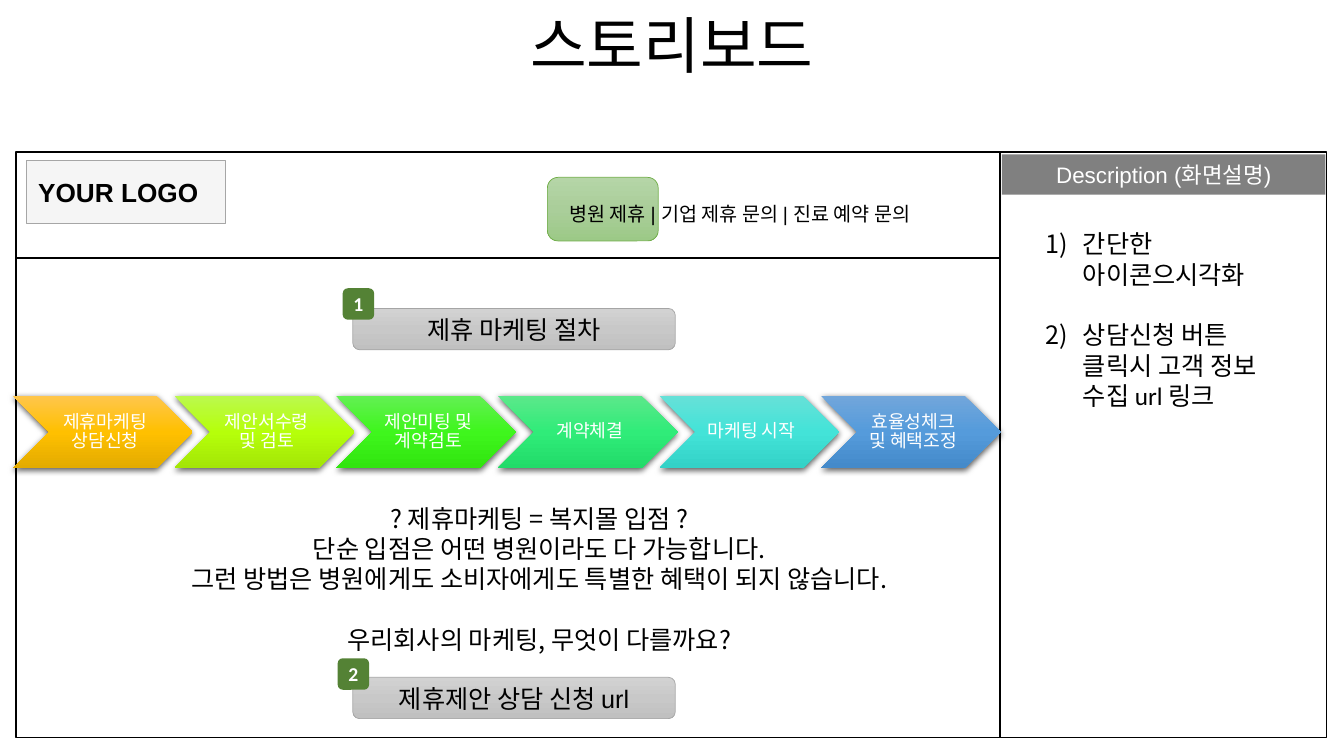
"""Build the storyboard slide for the partnership marketing page."""
from copy import deepcopy

from lxml.etree import SubElement
from pptx import Presentation
from pptx.dml.color import RGBColor
from pptx.enum.shapes import MSO_SHAPE as SHAPE
from pptx.enum.text import MSO_ANCHOR as ANCHOR, PP_ALIGN as ALIGN
from pptx.oxml.ns import qn
from pptx.util import Pt

BLACK = RGBColor(0, 0, 0)
WHITE = RGBColor(255, 255, 255)
HEADER_GRAY = RGBColor(0x80, 0x80, 0x80)
LOGO_FILL = RGBColor(0xF2, 0xF2, 0xF2)
LOGO_LINE = RGBColor(0xA6, 0xA6, 0xA6)
BUTTON_LINE = RGBColor(0xA5, 0xA5, 0xA5)
TAB_LINE = RGBColor(0x70, 0xAD, 0x47)
BADGE_GREEN = RGBColor(0x54, 0x82, 0x35)
BUTTON_GRADIENT = [RGBColor.from_string(c) for c in ("D2D2D2", "C8C8C8", "C0C0C0")]
TAB_GRADIENT = [RGBColor.from_string(c) for c in ("B5D5A7", "AACE9A", "9CC987")]
KOREAN = "Noto Sans CJK KR"

deck = Presentation()
deck.slide_width, deck.slide_height = Pt(960), Pt(540)
slide = deck.slides.add_slide(deck.slide_layouts[6])


def draw(kind, box, fill, line=None, width=1):
    """Add a shape with a solid colour or a list of three gradient colours."""
    shape = slide.shapes.add_shape(kind, *map(Pt, box))
    shape.shadow.inherit = False
    if isinstance(fill, list):
        shape.fill.gradient()
        shape.fill.gradient_angle = 270
        stop_list = next(shape._element.spPr.iter(qn("a:gsLst")))
        stop_list.insert(1, deepcopy(stop_list[0]))
        for stop, color, position in zip(shape.fill.gradient_stops, fill, (0, 0.5, 1)):
            stop.color.rgb = color
            stop.position = position
    else:
        shape.fill.solid()
        shape.fill.fore_color.rgb = fill
    if line is None:
        shape.line.fill.background()
    else:
        shape.line.color.rgb = line
        shape.line.width = Pt(width)
    return shape


def write(holder, lines, size, font="Arial", color=BLACK, bold=False, align=ALIGN.CENTER,
          spacing=None, **frame_format):
    """Fill a shape, or a new text box at the given place, with paragraphs."""
    if isinstance(holder, tuple):
        holder = slide.shapes.add_textbox(*map(Pt, holder))
    frame = holder.text_frame
    for key, value in {"word_wrap": True, "vertical_anchor": ANCHOR.MIDDLE, **frame_format}.items():
        setattr(frame, key, value)
    frame.text = "\n".join(lines)
    for paragraph in frame.paragraphs:
        paragraph.alignment = align
        paragraph.line_spacing = spacing
        run = paragraph.runs[0]
        for key, value in {"size": Pt(size), "name": font, "bold": bold}.items():
            setattr(run.font, key, value)
        run.font.color.rgb = color
        SubElement(run.font._element, qn("a:ea"), typeface=KOREAN)
    return frame.paragraphs


for panel in [(11.5, 108.7, 704.9, 75.6), (11.5, 184.3, 704.9, 342.7), (714.2, 108.7, 233.3, 418.3)]:
    draw(SHAPE.RECTANGLE, panel, WHITE, BLACK)

header = draw(SHAPE.RECTANGLE, (715.7, 110.2, 231.1, 28.8), HEADER_GRAY)
write(header, ["Description (화면설명)"], 16, color=WHITE)

logo = draw(SHAPE.RECTANGLE, (18.7, 114.5, 142.6, 45.4), LOGO_FILL, LOGO_LINE, 0.75)
logo_color = next(logo._element.spPr.iter(qn("a:srgbClr")))
SubElement(logo_color, qn("a:alpha"), val="70000")
write((20.2, 122.4, 132.5, 30.2), ["YOUR LOGO"], 18.7, bold=True, align=ALIGN.LEFT,
      word_wrap=False, vertical_anchor=ANCHOR.TOP)

draw(SHAPE.ROUNDED_RECTANGLE, (391, 126.7, 79.2, 45.4), TAB_GRADIENT, TAB_LINE, 0.5)
write((399.6, 140.4, 296.6, 24.5), ["병원 제휴 | 기업 제휴 문의 | 진료 예약 문의"], 14,
      align=ALIGN.LEFT, vertical_anchor=ANCHOR.TOP)

write((0, 1.4, 960, 66.2), ["스토리보드"], 44, "Calibri", spacing=0.9)

notes = write((739.4, 159.8, 181.4, 181.4), ["간단한 아이콘으시각화", "상담신청 버튼 클릭시 고객 정보 수집 url 링크"],
              18, "Calibri", align=ALIGN.LEFT, vertical_anchor=ANCHOR.TOP)
for note in notes:
    properties = note._p.get_or_add_pPr()
    properties.set("marL", str(Pt(27)))
    properties.set("indent", str(-Pt(27)))
    SubElement(properties, qn("a:buFont"), typeface="Calibri")
    SubElement(properties, qn("a:buAutoNum"), type="arabicParenR")
notes[1].space_before = Pt(21.8)

pitch = write((118.8, 355.7, 532.8, 116.6), [
    "? 제휴마케팅 = 복지몰 입점 ?",
    "단순 입점은 어떤 병원이라도 다 가능합니다.",
    "그런 방법은 병원에게도 소비자에게도 특별한 혜택이 되지 않습니다.",
    "우리회사의 마케팅, 무엇이 다를까요?",
], 18, KOREAN, vertical_anchor=ANCHOR.TOP)
pitch[3].space_before = Pt(21.8)

buttons = [
    ("1", "제휴 마케팅 절차", 220.3, 244.8, 205.9),
    ("2", "제휴제안 상담 신청 url", 483.8, 241.2, 470.2),
]
for number, label, top, badge_left, badge_top in buttons:
    button = draw(SHAPE.ROUNDED_RECTANGLE, (252, top, 230.4, 29.5), BUTTON_GRADIENT, BUTTON_LINE, 0.5)
    write(button, [label], 18, margin_top=Pt(1.4), margin_bottom=Pt(1.4))
    badge = draw(SHAPE.ROUNDED_RECTANGLE, (badge_left, badge_top, 22.5, 22.5), BADGE_GREEN)
    write(badge, [number], 14, "Calibri", WHITE, True, margin_left=0, margin_right=0)

steps = [
    ("제휴마케팅 상담신청", "FFC64B", "FFC000", "E3AB00"),
    ("제안서수령 및 검토", "BBF94D", "B6FF0A", "A3E506"),
    ("제안미팅 및 계약검토", "62F052", "3FF61D", "31E50F"),
    ("계약체결", "5BE88A", "30EC79", "21DB69"),
    ("마케팅 시작", "66E1D8", "43E3D8", "33D2C7"),
    ("효율성체크 및 혜택조정", "71A6DB", "559BDB", "448ACA"),
]
for index, (label, *colors) in enumerate(steps):
    left = 9.4 + index * 115.45
    step = draw(SHAPE.CHEVRON, (left, 283, 128.2, 51.2), [RGBColor.from_string(c) for c in colors])
    effects = step._element.spPr.find(qn("a:effectLst"))
    shadow = SubElement(effects, qn("a:outerShdw"), blurRad=str(Pt(4.5)), dist=str(Pt(1.5)),
                        dir="5400000", algn="ctr", rotWithShape="0")
    shade = SubElement(shadow, qn("a:srgbClr"), val="000000")
    SubElement(shade, qn("a:alpha"), val="63000")
    write((left + 25.7, 283, 77, 51.2), [label], 13, "Calibri", WHITE, spacing=0.9,
          margin_left=Pt(4.3), margin_right=Pt(1.4), margin_top=Pt(1.4), margin_bottom=Pt(1.4))

deck.save("out.pptx")
